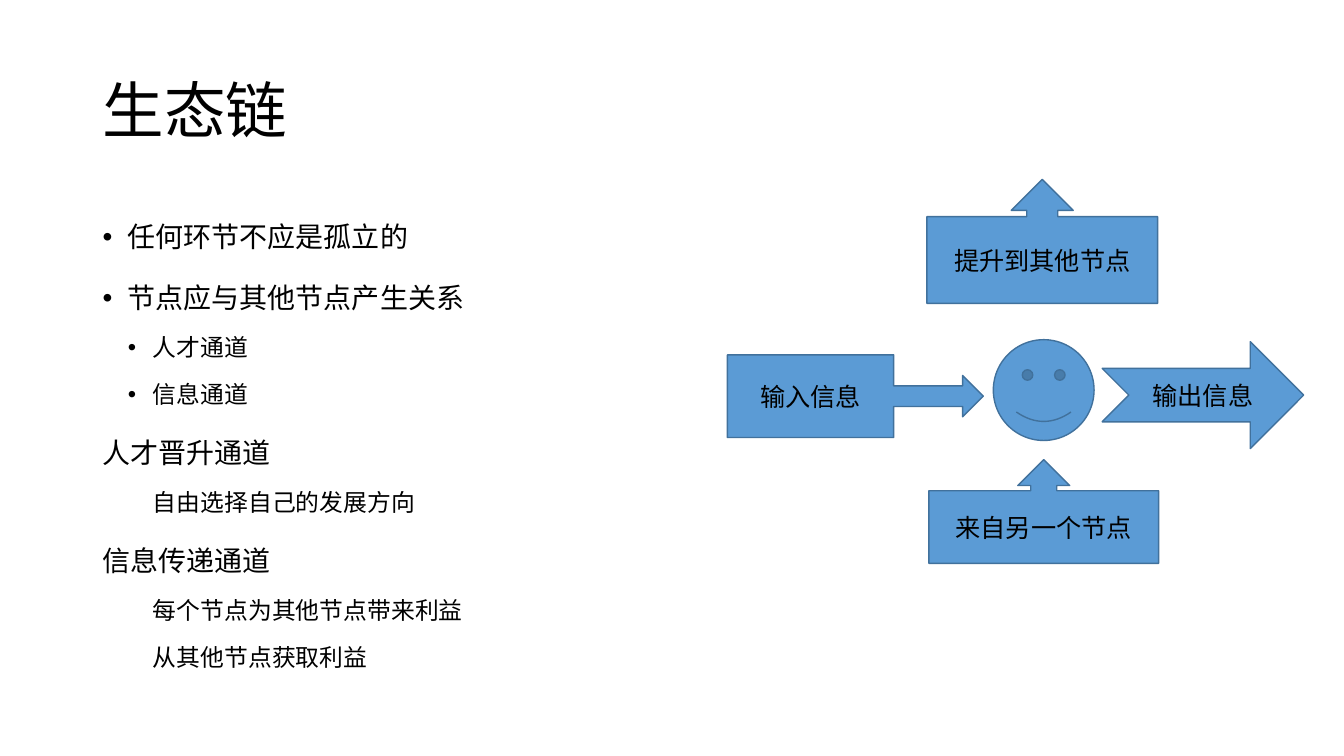
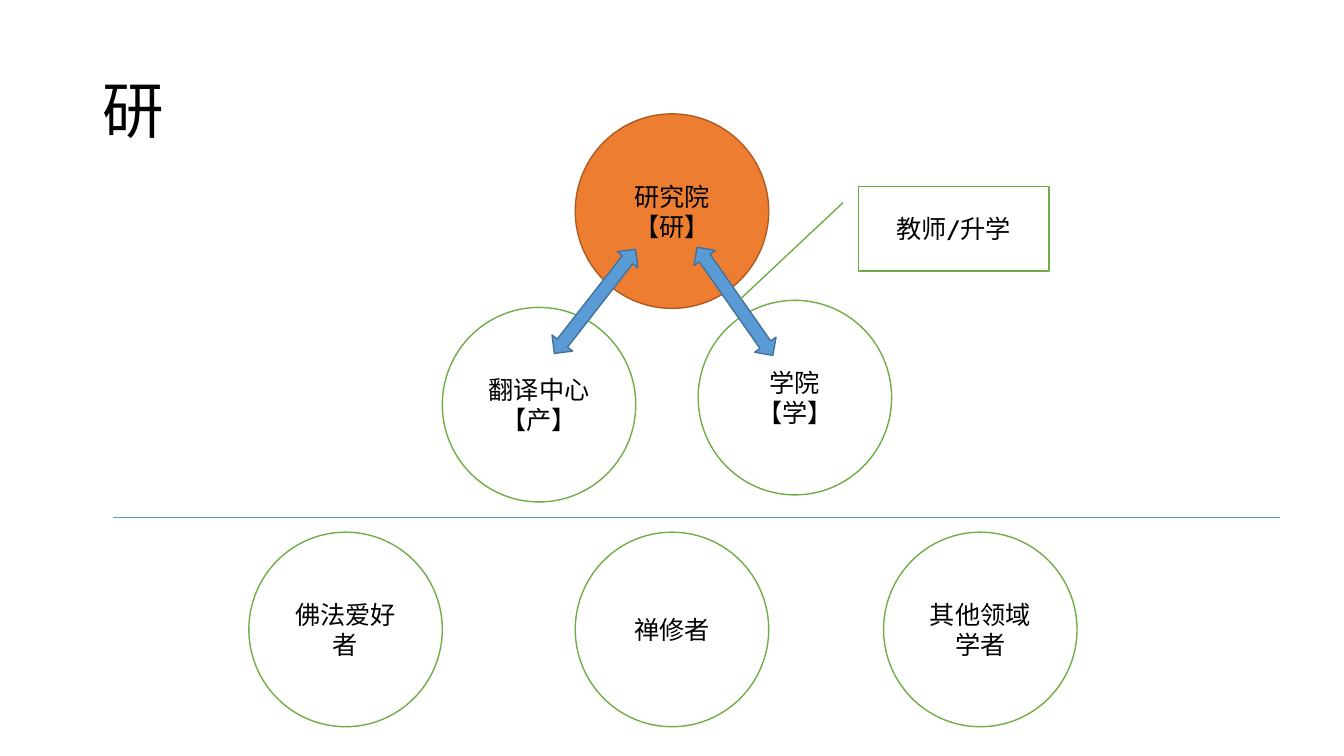
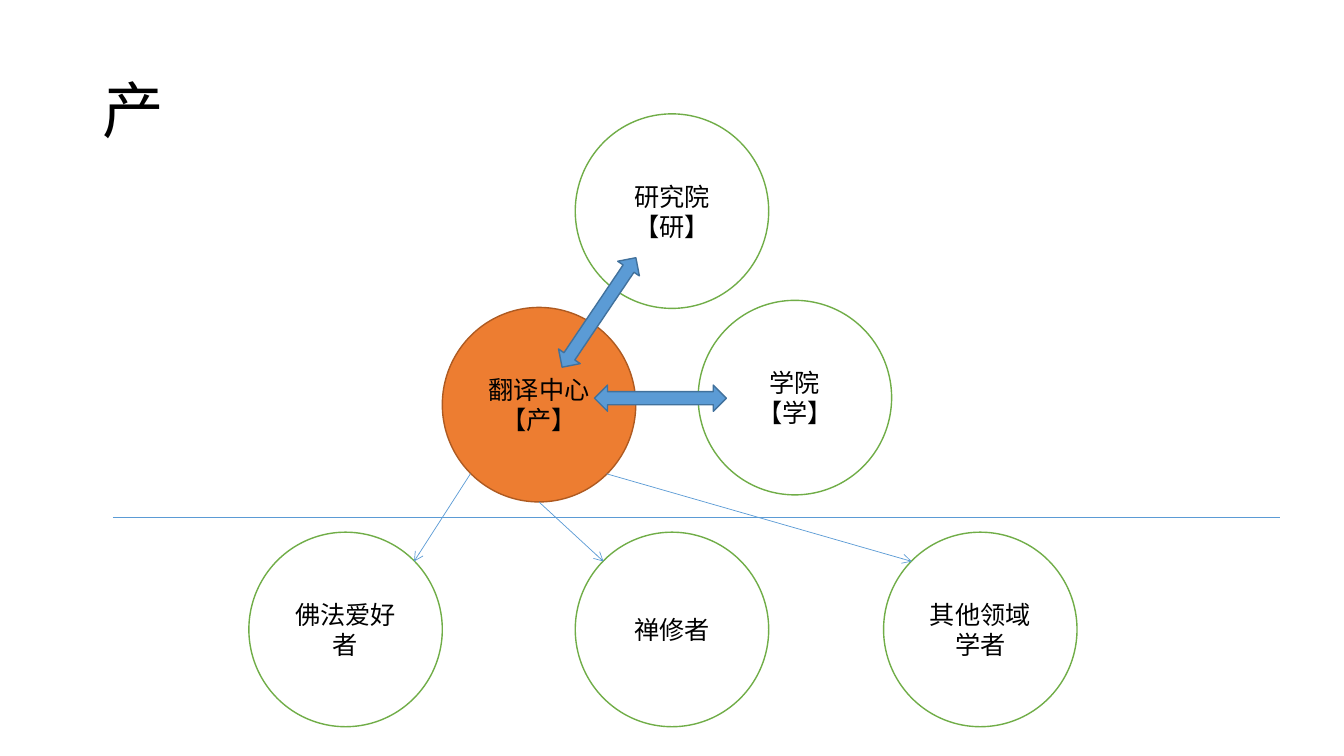
from lxml import etree
from pptx import Presentation
from pptx.dml.color import RGBColor
from pptx.enum.shapes import MSO_CONNECTOR, MSO_SHAPE as SH
from pptx.enum.text import MSO_ANCHOR, PP_ALIGN
from pptx.oxml.ns import qn
from pptx.util import Inches, Pt

C = {
    "text": "000000", "white": "FFFFFF",
    "blue": "5B9BD5", "blue_line": "41719C",
    "orange": "ED7D31", "orange_line": "AE5A21",
    "green": "70AD47",
}
STYLES = {
    "blue": ("blue", "blue_line"),
    "focus": ("orange", "orange_line"),
    "plain": ("white", "green"),
}
FONT = "Cabin"


def add_text(tf, text, size=18, align=PP_ALIGN.CENTER, anchor=MSO_ANCHOR.MIDDLE,
             spacing=None):
    tf.word_wrap = True
    tf.vertical_anchor = anchor
    tf.text = text
    for p in tf.paragraphs:
        p.alignment = align
        p.line_spacing = spacing
        for r in p.runs:
            r.font.name = FONT
            r.font.size = Pt(size)
            r.font.color.rgb = RGBColor.from_string(C["text"])


def add_shape(s, kind, box, style="blue", text="", adj=(), rotation=0):
    sp = s.shapes.add_shape(kind, *[Inches(v) for v in box])
    fill, line = STYLES[style]
    sp.shadow.inherit = False
    sp.fill.solid()
    sp.fill.fore_color.rgb = RGBColor.from_string(C[fill])
    sp.line.color.rgb = RGBColor.from_string(C[line])
    sp.line.width = Pt(1)
    sp.rotation = rotation
    for i, value in enumerate(adj):
        sp.adjustments[i] = value
    if text:
        add_text(sp.text_frame, text)


prs = Presentation()
prs.slide_width = Inches(13.34)
prs.slide_height = Inches(7.5)

slides = []
for title in ("生态链", "研", "产"):
    s = prs.slides.add_slide(prs.slide_layouts[6])
    tb = s.shapes.add_textbox(Inches(0.92), Inches(0.4), Inches(11.5), Inches(1.45))
    add_text(tb.text_frame, title, size=44, align=PP_ALIGN.LEFT, spacing=0.9)
    slides.append(s)
chain, research, production = slides

outline = [
    (0, True, "任何环节不应是孤立的"),
    (0, True, "节点应与其他节点产生关系"),
    (1, True, "人才通道"),
    (1, True, "信息通道"),
    (0, False, "人才晋升通道"),
    (1, False, "自由选择自己的发展方向"),
    (0, False, "信息传递通道"),
    (1, False, "每个节点为其他节点带来利益"),
    (1, False, "从其他节点获取利益"),
]
tb = chain.shapes.add_textbox(Inches(0.92), Inches(2), Inches(6.3), Inches(4.76))
add_text(tb.text_frame, "\n".join(text for _, _, text in outline), size=20,
         align=PP_ALIGN.LEFT, anchor=MSO_ANCHOR.TOP, spacing=1.4)
for p, (level, bullet, _) in zip(tb.text_frame.paragraphs, outline):
    p.level = level
    p.space_before = Pt(5 if level else 10)
    if level:
        p.runs[0].font.size = Pt(17)
    hanging = bullet or level == 0
    pPr = p._p.get_or_add_pPr()
    pPr.set("marL", str(Inches(0.25 * (level + 1))))
    pPr.set("indent", str(Inches(-0.25 if hanging else 0)))
    if bullet:
        etree.SubElement(pPr, qn("a:buFont")).set("typeface", "Arial")
        etree.SubElement(pPr, qn("a:buChar")).set("char", "•")
    else:
        etree.SubElement(pPr, qn("a:buNone"))

add_shape(chain, SH.SMILEY_FACE, (9.86, 3.37, 1, 1))
for kind, box, text, adj in [
    (SH.RIGHT_ARROW_CALLOUT, (7.22, 3.52, 2.54, 0.82), "输入信息", (0.25, 0.25, 0.25, 0.65)),
    (SH.NOTCHED_RIGHT_ARROW, (10.94, 3.39, 2, 1.06), "输出信息", (0.5, 0.5)),
    (SH.UP_ARROW_CALLOUT, (9.22, 4.56, 2.28, 1.03), "来自另一个节点", (0.25, 0.25, 0.25, 0.7)),
    (SH.UP_ARROW_CALLOUT, (9.2, 1.78, 2.29, 1.23), "提升到其他节点", (0.25, 0.25, 0.25, 0.7)),
]:
    add_shape(chain, kind, box, text=text, adj=adj)

circles = [
    (5.71, 1.13, "研究院\v【研】"),
    (6.93, 2.98, "学院\n【学】"),
    (4.39, 3.05, "翻译中心\n【产】"),
    (2.47, 5.28, "佛法爱好者"),
    (5.71, 5.28, "禅修者"),
    (8.77, 5.28, "其他领域学者"),
]
divider = (1.12, 5.13, 12.71, 5.13, False)
diagrams = [
    (research, "【研】", [(6.64, 2.86, 55), (5.25, 2.86, 128)], [divider]),
    (production, "【产】", [(5.29, 2.97, 124), (5.9, 3.82, 180)], [
        divider,
        (6.02, 4.7, 9.05, 5.57, True),
        (5.35, 4.98, 5.99, 5.57, True),
        (4.67, 4.7, 4.11, 5.57, True),
    ]),
]
for s, focus, arrows, lines in diagrams:
    for x, y, text in circles:
        style = "focus" if focus in text else "plain"
        add_shape(s, SH.OVAL, (x, y, 1.92, 1.93), style, text)
    for x1, y1, x2, y2, arrowhead in lines:
        cx = s.shapes.add_connector(MSO_CONNECTOR.STRAIGHT, Inches(x1), Inches(y1),
                                    Inches(x2), Inches(y2))
        cx.line.color.rgb = RGBColor.from_string(C["blue"])
        cx.line.width = Pt(0.5)
        if arrowhead:
            etree.SubElement(cx.line._get_or_add_ln(), qn("a:tailEnd")).set("type", "arrow")
        etree.SubElement(cx._element.spPr, qn("a:effectLst"))
    for x, y, rotation in arrows:
        add_shape(s, SH.LEFT_RIGHT_ARROW, (x, y, 1.31, 0.26), adj=(0.5, 0.5),
                  rotation=rotation)

add_shape(research, SH.LINE_CALLOUT_1, (8.52, 1.85, 1.89, 0.84), "plain", "教师/升学",
          adj=(0.19, -0.08, 1.33, -0.62))

prs.save("out.pptx")
